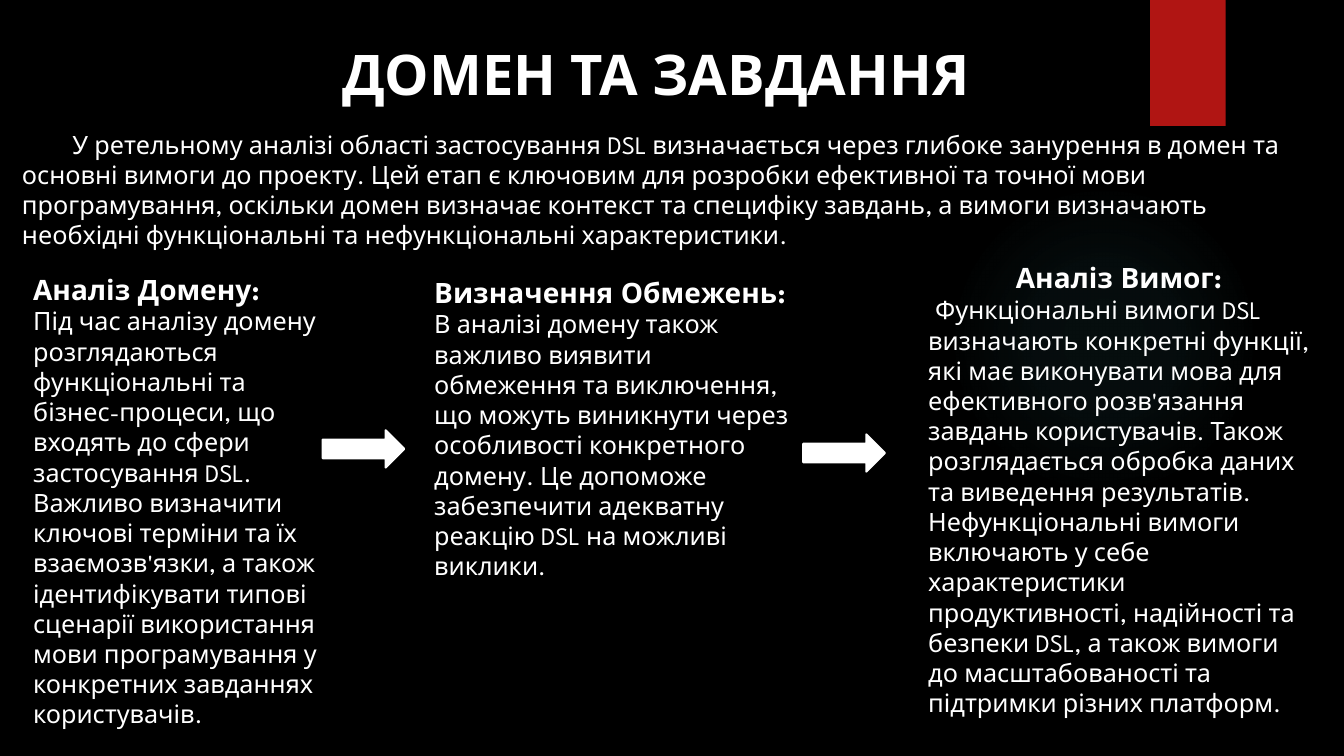
"""Builds the slide about the domain and the tasks of a DSL."""
import pptx
import pptx.util
import pptx.dml.color
import pptx.enum.shapes
import pptx.enum.text
import pptx.oxml

Pt = pptx.util.Pt
RGBColor = pptx.dml.color.RGBColor
MSO_SHAPE = pptx.enum.shapes.MSO_SHAPE
PP_ALIGN = pptx.enum.text.PP_ALIGN

BLACK = RGBColor(0x00, 0x00, 0x00)
WHITE = RGBColor(0xFF, 0xFF, 0xFF)
RED = RGBColor(0xB0, 0x15, 0x13)
TEAL = RGBColor(0x50, 0xB9, 0xC1)
FONT = "League Spartan"
DRAWING_NS = "http://schemas.openxmlformats.org/drawingml/2006/main"


def write(paragraph, text, size, bold=False, align=PP_ALIGN.LEFT, indent=0):
    paragraph.alignment = align
    if indent:
        paragraph._p.get_or_add_pPr().set("indent", str(Pt(indent)))
    run = paragraph.add_run()
    run.text = text
    run.font.name = FONT
    run.font.size = Pt(size)
    run.font.bold = bold
    run.font.color.rgb = WHITE


def add_plain_shape(kind, left, top, width, height, color):
    shape = slide.shapes.add_shape(kind, Pt(left), Pt(top), Pt(width), Pt(height))
    shape.shadow.inherit = False
    shape.fill.solid()
    shape.fill.fore_color.rgb = color
    shape.line.fill.background()
    return shape


deck = pptx.Presentation()
deck.slide_width, deck.slide_height = Pt(960), Pt(540)
slide = deck.slides.add_slide(deck.slide_layouts[5])
slide.background.fill.solid()
slide.background.fill.fore_color.rgb = BLACK

glow = add_plain_shape(MSO_SHAPE.OVAL, 677.5, 131.8, 221.8, 221.8, TEAL)
stops = "".join(
    f'<a:gs pos="{position * 1000}"><a:srgbClr val="{TEAL}">'
    f'<a:alpha val="{opacity * 1000}"/></a:srgbClr></a:gs>'
    for position, opacity in [(0, 7), (36, 6), (69, 0)]
)
glow_fill = pptx.oxml.parse_xml(
    f'<a:gradFill xmlns:a="{DRAWING_NS}"><a:gsLst>{stops}</a:gsLst><a:path path="circle">'
    '<a:fillToRect l="50000" t="50000" r="50000" b="50000"/></a:path></a:gradFill>'
)
solid_fill = glow._element.spPr.find(f"{{{DRAWING_NS}}}solidFill")
solid_fill.getparent().replace(solid_fill, glow_fill)

add_plain_shape(MSO_SHAPE.RECTANGLE, 821.5, 0, 54, 90, RED)

title = slide.shapes.title
title.left, title.top, title.width, title.height = Pt(131.8), Pt(24.5), Pt(673.2), Pt(55.4)
title.text_frame.auto_size = pptx.enum.text.MSO_AUTO_SIZE.NONE
title.text_frame.vertical_anchor = pptx.enum.text.MSO_ANCHOR.TOP
write(title.text_frame.paragraphs[0], "ДОМЕН ТА ЗАВДАННЯ", 40, True, PP_ALIGN.CENTER)

intro = slide.shapes.add_textbox(Pt(8.6), Pt(88.6), Pt(935.3), Pt(94.3))
intro.text_frame.word_wrap = True
write(
    intro.text_frame.paragraphs[0],
    "У ретельному аналізі області застосування DSL визначається через глибоке занурення "
    "в домен та основні вимоги до проекту. Цей етап є ключовим для розробки ефективної та "
    "точної мови програмування, оскільки домен визначає контекст та специфіку завдань, а "
    "вимоги визначають необхідні функціональні та нефункціональні характеристики.",
    18,
    indent=36,
)

stages = [
    (16.6, 190.8, 231.1, 334.1, PP_ALIGN.LEFT, 0, "Аналіз Домену:",
     "Під час аналізу домену розглядаються функціональні та бізнес-процеси, що входять до "
     "сфери застосування DSL. Важливо визначити ключові терміни та їх взаємозв'язки, а також "
     "ідентифікувати типові сценарії використання мови програмування у конкретних завданнях "
     "користувачів."),
    (303.1, 193, 270.7, 227.5, PP_ALIGN.LEFT, 0, "Визначення Обмежень:",
     "В аналізі домену також важливо виявити обмеження та виключення, що можуть виникнути "
     "через особливості конкретного домену. Це допоможе забезпечити адекватну реакцію DSL "
     "на можливі виклики."),
    (655.9, 182.9, 286.6, 334.1, PP_ALIGN.CENTER, 5, "Аналіз Вимог:",
     "Функціональні вимоги DSL визначають конкретні функції, які має виконувати мова для "
     "ефективного розв'язання завдань користувачів. Також розглядається обробка даних та "
     "виведення результатів. Нефункціональні вимоги включають у себе характеристики "
     "продуктивності, надійності та безпеки DSL, а також вимоги до масштабованості та "
     "підтримки різних платформ."),
]
for left, top, width, height, heading_align, indent, heading, description in stages:
    stage = slide.shapes.add_textbox(Pt(left), Pt(top), Pt(width), Pt(height)).text_frame
    stage.word_wrap = True
    write(stage.paragraphs[0], heading, 20, True, heading_align)
    write(stage.add_paragraph(), description, 18, indent=indent)

for left, top in [(230.4, 307.4), (573.8, 310.3)]:
    arrow = add_plain_shape(MSO_SHAPE.RIGHT_ARROW, left, top, 58.3, 26.6, WHITE)
    arrow.line.color.rgb = WHITE
    arrow.line.width = Pt(1.5)

deck.save("out.pptx")
